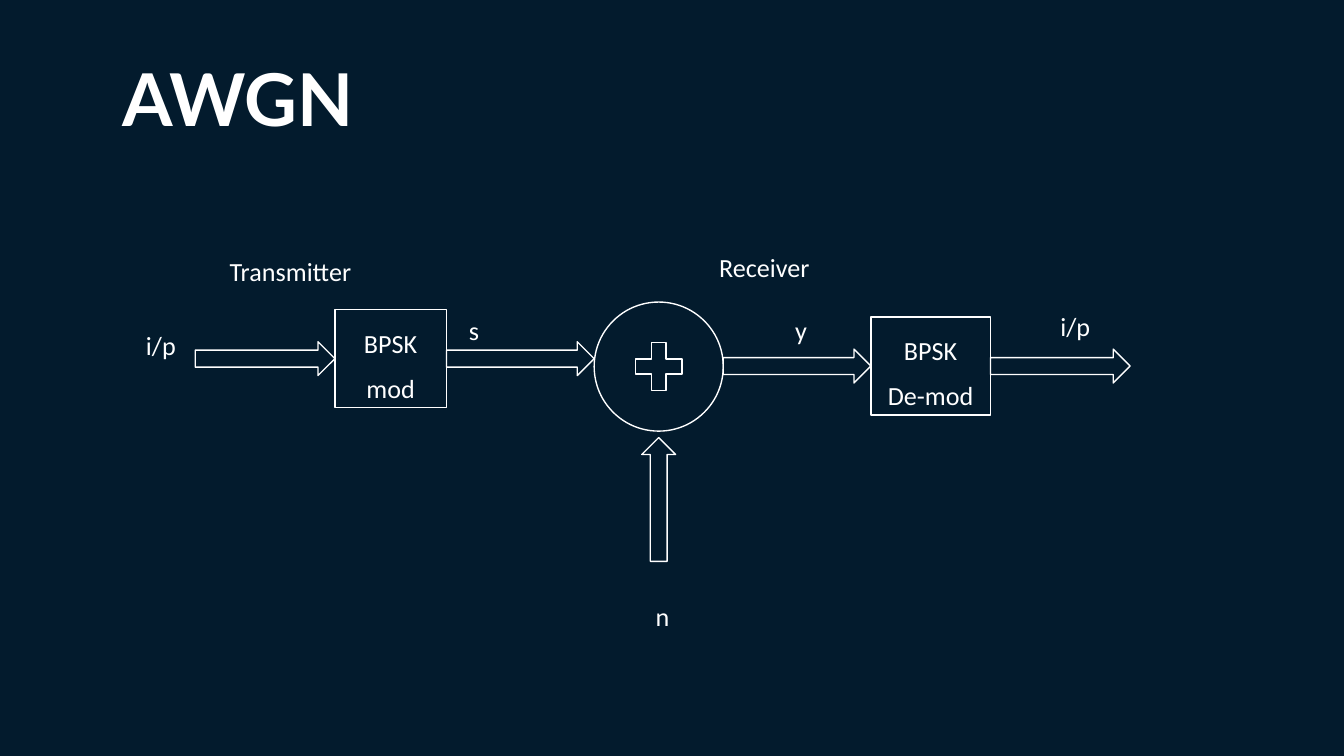
import collections

import pptx
import pptx.dml.color
import pptx.enum.shapes
import pptx.enum.text
import pptx.util

Cm = pptx.util.Cm
Pt = pptx.util.Pt
Shapes = pptx.enum.shapes.MSO_SHAPE
Align = pptx.enum.text.PP_ALIGN

Box = collections.namedtuple("Box", "left top width height")

BACKGROUND = "031B2D"
WHITE = "FFFFFF"
INSET = 0.25
ARROW_HEIGHT = 0.64
BLOCK_HEIGHT = 1.85
LABEL_HEIGHT = 1.12
BODY_FONT = {"name": "Calibri", "size": Pt(14)}
TITLE_FONT = {"name": "Lato", "size": Pt(39), "bold": True}


def set_color(color_format, value):
    color_format.rgb = pptx.dml.color.RGBColor.from_string(value)


def write_text(shape, text, font_values, line_spacing=1.43, align=Align.LEFT, indent=0):
    frame = shape.text_frame
    frame_values = {
        "word_wrap": True,
        "margin_left": Cm(INSET + indent),
        "margin_right": Cm(INSET),
        "margin_top": Cm(INSET),
        "margin_bottom": Cm(INSET),
    }
    for name, value in frame_values.items():
        setattr(frame, name, value)
    paragraph = frame.paragraphs[0]
    paragraph.alignment = align
    paragraph.line_spacing = line_spacing
    run = paragraph.add_run()
    run.text = text
    for name, value in font_values.items():
        setattr(run.font, name, value)
    set_color(run.font.color, WHITE)


def add_outline(slide, kind, box):
    shape = slide.shapes.add_shape(kind, *map(Cm, box))
    shape.shadow.inherit = False
    shape.fill.background()
    set_color(shape.line.color, WHITE)
    shape.line.width = Pt(0.75)
    return shape


def add_label(slide, text, box):
    label = slide.shapes.add_textbox(*map(Cm, box))
    write_text(label, text, BODY_FONT)
    label.text_frame.auto_size = pptx.enum.text.MSO_AUTO_SIZE.SHAPE_TO_FIT_TEXT


def add_modem(slide, box, axis, start, parts, labels):
    """Place arrows and a block end to end on an axis, with labels around them."""
    left = box.left + start
    for text, width in parts:
        height = BLOCK_HEIGHT if text else ARROW_HEIGHT
        kind = Shapes.RECTANGLE if text else Shapes.RIGHT_ARROW
        top = box.top + axis - height / 2
        shape = add_outline(slide, kind, Box(left, top, width, height))
        if text:
            write_text(shape, text, BODY_FONT, align=Align.CENTER)
            shape.text_frame.vertical_anchor = pptx.enum.text.MSO_ANCHOR.MIDDLE
        left += width
    for text, x, y, width in labels:
        add_label(slide, text, Box(box.left + x, box.top + y, width, LABEL_HEIGHT))


def add_transmitter(slide, box):
    parts = [("", 2.64), ("BPSK mod", 2.11), ("", 2.79)]
    labels = [("Transmitter", 1.58, 0, 3.15), ("i/p", 0, 1.4, 1.19), ("s", 6.1, 1.12, 0.99)]
    add_modem(slide, box, 2.46, 1.18, parts, labels)


def add_receiver(slide, box):
    parts = [("", 2.79), ("BPSK De-mod", 2.26), ("", 2.64)]
    labels = [("Receiver", 0, 0, 5.13), ("y", 1.44, 1.2, 0.99), ("i/p", 6.45, 1.12, 1.19)]
    add_modem(slide, box, 2.68, 0.33, parts, labels)


def add_channel(slide, box):
    center = box.left + box.width / 2
    # Adder
    add_outline(slide, Shapes.OVAL, Box(box.left, box.top, box.width, box.width))
    plus_width, plus_height = 1.19, 1.24
    middle = box.top + box.width / 2
    add_outline(slide, Shapes.MATH_PLUS, Box(
        center - plus_width / 2, middle - plus_height / 2, plus_width, plus_height))
    # Noise input, pointing up
    length = 2.34
    noise = add_outline(slide, Shapes.RIGHT_ARROW, Box(
        center - length / 2, box.top + 3.41, length, ARROW_HEIGHT))
    noise.rotation = 270
    add_label(slide, "n", Box(
        box.left + 0.91, box.top + box.height - LABEL_HEIGHT, 0.99, LABEL_HEIGHT))


def add_title(slide, box):
    title = slide.shapes.add_textbox(*map(Cm, box))
    write_text(title, "AWGN", TITLE_FONT, line_spacing=1.0, indent=1.27)


def main():
    presentation = pptx.Presentation()
    presentation.slide_width = Cm(25.4)
    presentation.slide_height = Cm(14.29)
    slide = presentation.slides.add_slide(presentation.slide_layouts[6])
    slide.background.fill.solid()
    set_color(slide.background.fill.fore_color, BACKGROUND)

    add_transmitter(slide, Box(2.51, 4.32, 8.72, 3.4))
    add_channel(slide, Box(11.23, 5.71, 2.44, 6.26))
    add_receiver(slide, Box(13.34, 4.24, 8.02, 3.6))
    add_title(slide, Box(0.79, 0.76, 21.44, 2.18))

    presentation.save("out.pptx")


if __name__ == "__main__":
    main()
